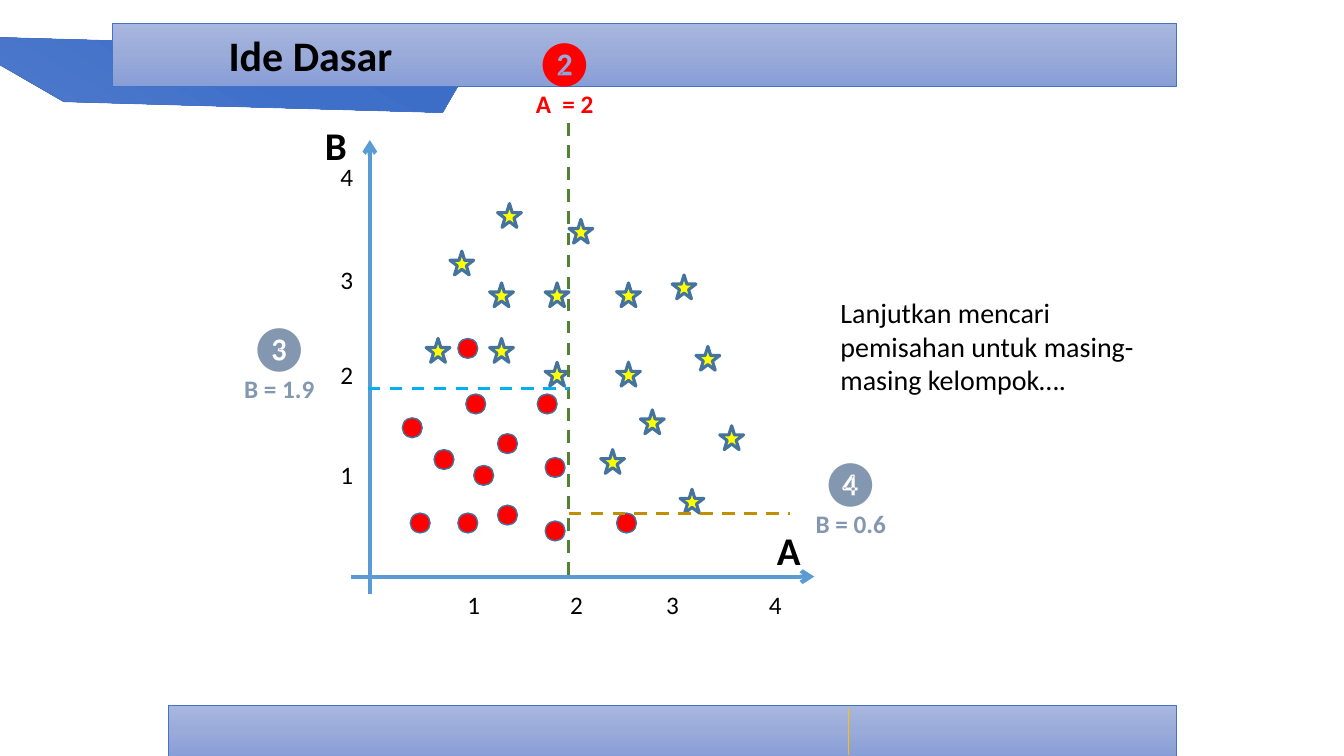
import pptx
import pptx.util
import pptx.dml.color
import pptx.enum.dml
import pptx.enum.shapes
import pptx.enum.text
import pptx.oxml
import pptx.oxml.ns
import copy

Cm = pptx.util.Cm
SHAPE = pptx.enum.shapes.MSO_SHAPE
ALIGN = pptx.enum.text.PP_ALIGN
ANCHOR = pptx.enum.text.MSO_ANCHOR
DASH = pptx.enum.dml.MSO_LINE.DASH

BAR_GRADIENT = ("A8B7DF", "9AABD9", "889ED7")
RIBBON_GRADIENT = ("6183CB", "3E70CA", "3062BB")
GRID = 0.2
STARS = [(23, 11), (17, 17), (29, 21), (32, 13), (45, 20), (29, 31), (38, 21), (41, 37),
         (38, 31), (48, 29), (36, 42), (51, 39), (22, 28), (14, 28), (22, 21), (46, 47)]
DOTS = [(19, 35), (28, 35), (23, 40), (15, 42), (23, 49), (29, 43), (20, 44), (38, 50),
        (29, 51), (18, 28), (11, 38), (18, 50), (12, 50)]
B_TICKS = [8.53, 5.99, 3.6, 1.01]
A_TICKS = [3.59, 6.18, 8.6, 11.19]
SPLITS = [
    ("❷", "A  = 2", "FF0000", (4.79, -2.19), "548235", (6.39, 11.55, 6.39, 0.12)),
    ("❸", "B = 1.9", "8497B0", (-2.4, 4.99), "00B0F0", (1.33, 6.87, 6.41, 6.87)),
    ("❹", "B = 0.6", "8497B0", (12, 8.4), "BF9000", (6.39, 10, 11.97, 10)),
]


def color(value):
    return pptx.dml.color.RGBColor.from_string(value)


def apply_format(target, values):
    for name, value in values.items():
        setattr(target, name, value)


def fill_gradient(fill, colors):
    fill.gradient()
    fill.gradient_angle = 270
    first = fill.gradient_stops[0]
    stop_list = fill._fill._gradFill.gsLst
    stop_list.insert(1, copy.deepcopy(stop_list[0]))
    for index, (stop, value) in enumerate(zip(fill.gradient_stops, colors)):
        stop.position = index / 2
        stop.color.rgb = color(value)


def add_mark(slide, kind, box, fill, line, width):
    mark = slide.shapes.add_shape(kind, *map(Cm, box))
    mark.shadow.inherit = False
    if isinstance(fill, tuple):
        fill_gradient(mark.fill, fill)
    else:
        mark.fill.solid()
        mark.fill.fore_color.rgb = color(fill)
    mark.line.color.rgb = color(line)
    mark.line.width = pptx.util.Pt(width)
    return mark


def add_line(slide, ends, line, width, dash=None, arrow=False):
    rule = slide.shapes.add_connector(pptx.enum.shapes.MSO_CONNECTOR.STRAIGHT, *map(Cm, ends))
    rule.line.color.rgb = color(line)
    apply_format(rule.line, {"width": pptx.util.Pt(width), "dash_style": dash})
    properties = rule._element.spPr
    if arrow:
        head = pptx.oxml.parse_xml(f'<a:tailEnd {pptx.oxml.ns.nsdecls("a")} type="arrow"/>')
        rule.line._get_or_add_ln().append(head)
    properties.append(pptx.oxml.parse_xml(f'<a:effectLst {pptx.oxml.ns.nsdecls("a")}/>'))


def add_text(slide, box, lines, ink="000000", align=ALIGN.LEFT, anchor=ANCHOR.TOP):
    frame = slide.shapes.add_textbox(*map(Cm, box)).text_frame
    apply_format(frame, {"word_wrap": True, "vertical_anchor": anchor})
    for index, (words, size, bold) in enumerate(lines):
        paragraph = frame.add_paragraph() if index else frame.paragraphs[0]
        paragraph.alignment = align
        run = paragraph.add_run()
        run.text = words
        apply_format(run.font, {"name": "Calibri", "size": pptx.util.Pt(size), "bold": bold})
        run.font.color.rgb = color(ink)


def add_footer(slide, left, top, width, height):
    add_mark(slide, SHAPE.RECTANGLE, (left, top, width, height), BAR_GRADIENT, "4472C4", 0.5)
    divider = left + 17.15
    add_line(slide, (divider, top + 0.05, divider, top + height - 0.03), "FFC000", 1)


def add_header(slide, left, top, width, height):
    ribbon = add_mark(slide, SHAPE.DIAGONAL_STRIPE, (left - 3.3, top - 2.64, 11.71, 6.32),
                      RIBBON_GRADIENT, "4472C4", 0.5)
    ribbon.adjustments[0] = 0.718
    ribbon.rotation = 210
    add_mark(slide, SHAPE.RECTANGLE, (left, top, width, height), BAR_GRADIENT, "4472C4", 0.5)
    add_text(slide, (left + 2.67, top - 0.78, 22.86, 3.18), [("Ide Dasar", 30, True)],
             align=ALIGN.JUSTIFY, anchor=ANCHOR.MIDDLE)


def add_scatter(slide, left, top):
    for ends in [(1.38, 12.03, 1.38, 0.6), (0.9, 11.6, 12.58, 11.6)]:
        add_line(slide, shift(ends, left, top), "5B9BD5", 3, arrow=True)
    ticks = [[(0.39, y) for y in B_TICKS], [(x, 11.8) for x in A_TICKS]]
    for axis in ticks:
        for number, (x, y) in enumerate(axis, 1):
            add_text(slide, (left + x, top + y, 0.61, 1.02), [(str(number), 18, False)])
    for kind, points, size, fill, width in [
        (SHAPE.STAR_5_POINT, STARS, 0.6, "FFFF00", 2.25),
        (SHAPE.FLOWCHART_CONNECTOR, DOTS, 0.5, "FF0000", 1),
    ]:
        for column, row in points:
            box = (left + column * GRID, top + row * GRID, size, size)
            add_mark(slide, kind, box, fill, "43739E", width)
    for axis_name, x, y in [("B", 0, 0), ("A", 11.39, 10.2)]:
        add_text(slide, (left + x, top + y, 1.19, 1.45), [(axis_name, 28, True)])


def shift(ends, left, top):
    x1, y1, x2, y2 = ends
    return left + x1, top + y1, left + x2, top + y2


def add_splits(slide, left, top):
    for badge, rule, ink, (x, y), line, ends in SPLITS:
        add_line(slide, shift(ends, left, top), line, 2.25, dash=DASH)
        add_text(slide, (left + x, top + y, 3, 2.39), [(badge, 32, False), (rule, 18, True)],
                 ink, ALIGN.CENTER)


def main():
    deck = pptx.Presentation()
    apply_format(deck, {"slide_width": Cm(33.87), "slide_height": Cm(19.05)})
    slide = deck.slides.add_slide(deck.slide_layouts[6])
    add_footer(slide, 4.24, 17.78, 25.4, 1.27)
    add_header(slide, 2.84, 0.58, 26.8, 1.6)
    add_text(slide, (20.93, 7.32, 8, 2.82),
             [("Lanjutkan mencari pemisahan untuk masing-masing kelompok….", 20, False)])
    add_scatter(slide, 7.94, 2.93)
    add_splits(slide, 7.94, 2.93)
    deck.save("out.pptx")


if __name__ == "__main__":
    main()
